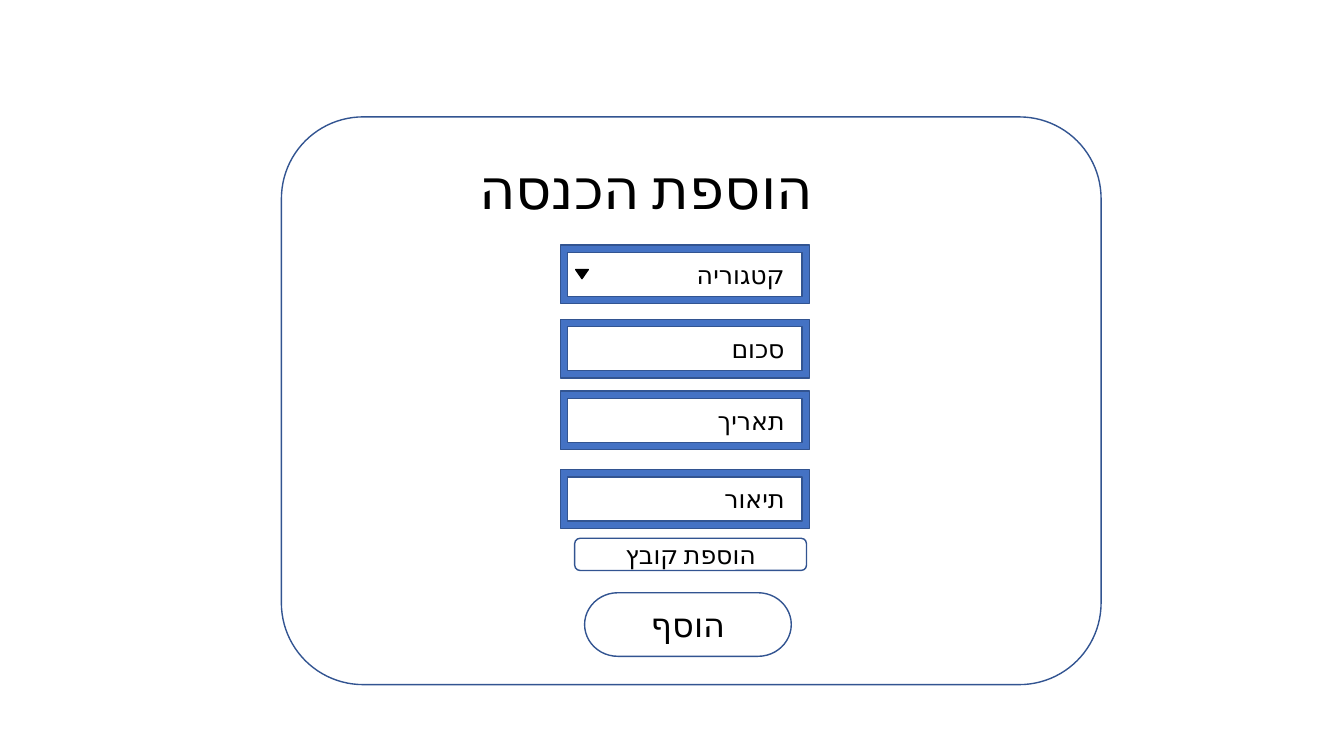
from collections import namedtuple
from lxml.etree import SubElement as Sub
from pptx import Presentation
from pptx.dml.color import RGBColor as Rgb
from pptx.enum.lang import MSO_LANGUAGE_ID as Lang
from pptx.enum.shapes import MSO_SHAPE as Kind
from pptx.enum.text import MSO_ANCHOR as Anchor, MSO_AUTO_SIZE as Fit, PP_ALIGN as Align
from pptx.oxml.ns import qn
from pptx.util import Pt

Theme = namedtuple("Theme", "font ink paper edge blue head big body")
theme = Theme("Calibri", Rgb(0, 0, 0), Rgb(255, 255, 255), Rgb(0x32, 0x54, 0x91),
              Rgb(0x44, 0x72, 0xC4), Pt(40), Pt(24), Pt(18))


def draw(shapes, kind, box, fill=theme.paper, line=theme.edge):
    shape = shapes.add_shape(kind, *map(Pt, box))
    shape.shadow.inherit = False
    shape.fill.solid()
    shape.fill.fore_color.rgb = fill
    shape.line.color.rgb = line
    shape.line.width = Pt(1)
    return shape


def write(shape, text, size=theme.body, align=Align.CENTER, anchor=Anchor.MIDDLE,
          fit=Fit.NONE, space=None):
    frame = shape.text_frame
    frame.word_wrap = True
    frame.auto_size = fit
    frame.vertical_anchor = anchor
    para = frame.paragraphs[0]
    para.alignment = align
    para.line_spacing = space
    para._p.get_or_add_pPr().set("rtl", "1")
    run = para.add_run()
    run.text = text
    font = run.font
    font.size = size
    font.name = theme.font
    font.color.rgb = theme.ink
    font.language_id = Lang.HEBREW
    Sub(font._element, qn("a:cs"), typeface=theme.font)


deck = Presentation()
deck.slide_width, deck.slide_height = Pt(960), Pt(540)
slide = deck.slides.add_slide(deck.slide_layouts[5])
shapes = slide.shapes

panel = draw(shapes, Kind.ROUNDED_RECTANGLE, (201, 83.5, 585.5, 405.5))
panel.adjustments[0] = 0.144

add = draw(shapes, Kind.FLOWCHART_TERMINATOR, (417.6, 423.4, 147.6, 45.4))
write(add, "הוסף", size=theme.big)

fields = [("קטגוריה", 175), ("סכום", 228.2), ("תאריך", 279.4), ("תיאור", 335.5)]
for label, top in fields:
    field = shapes.add_group_shape().shapes
    draw(field, Kind.FRAME, (400.3, top, 177.8, 41.8), fill=theme.blue)
    box = field.add_textbox(*map(Pt, (410.5, top + 6.5, 157, 29)))
    write(box, label, align=Align.RIGHT, anchor=Anchor.TOP, fit=Fit.SHAPE_TO_FIT_TEXT)

title = shapes.title
title.left, title.top, title.width, title.height = map(Pt, (-240, 84.3, 828, 104.4))
write(title, "הוספת הכנסה", size=theme.head, align=Align.RIGHT, space=0.9)
panel._element.addnext(title._element)

arrow = draw(shapes, Kind.FLOWCHART_EXTRACT, (411.2, 192.5, 9, 6.5),
             fill=theme.ink, line=theme.ink)
arrow.rotation = 180

attach = draw(shapes, Kind.ROUNDED_RECTANGLE, (410.5, 384.5, 165.6, 23))
write(attach, "הוספת קובץ")

deck.save("out.pptx")
